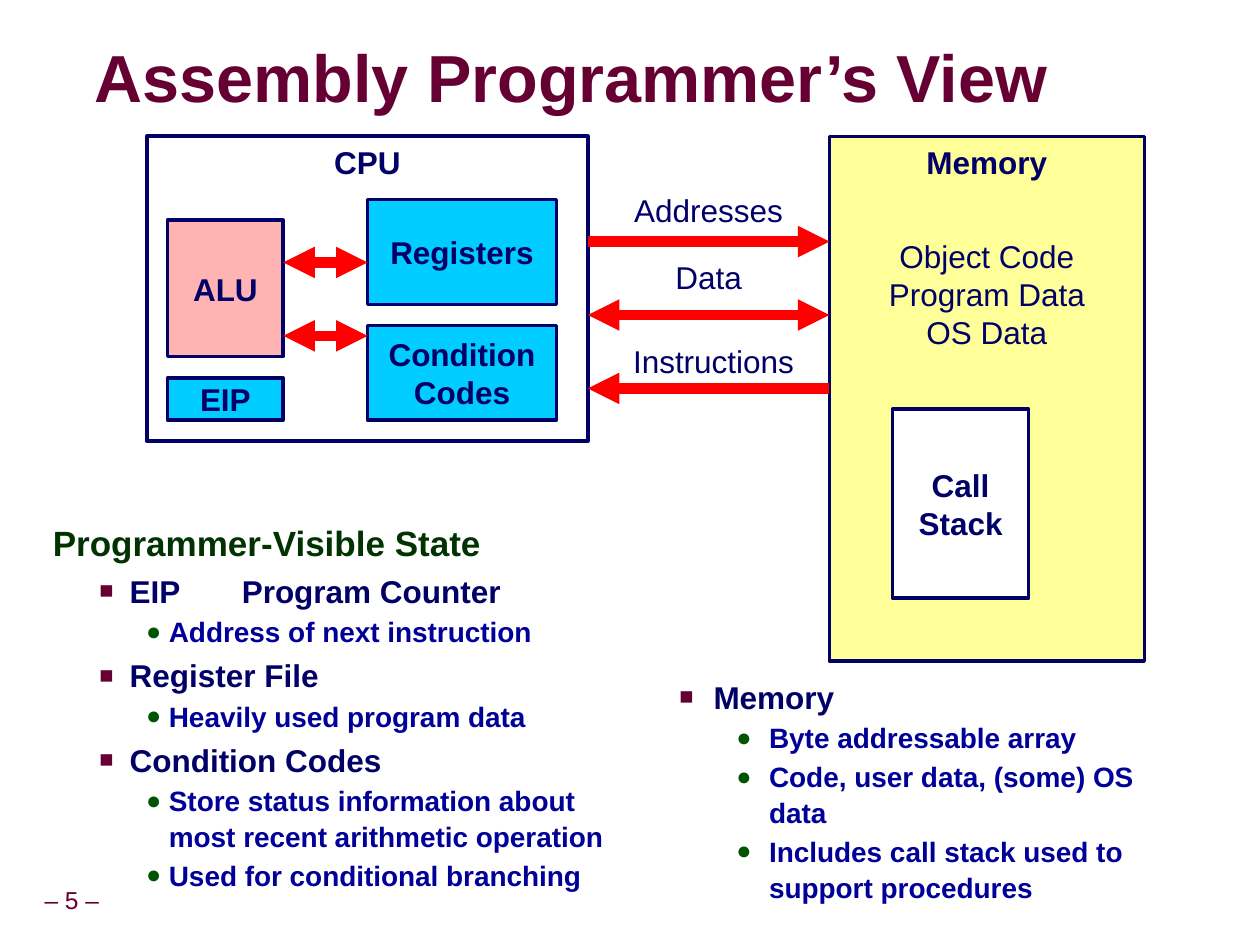
from lxml import etree
from pptx import Presentation, util as u
from pptx.dml.color import RGBColor
from pptx.enum import shapes, text
from pptx.oxml import ns

HUE = {"navy": "000066", "wine": "660033", "pine": "003300", "leaf": "005400",
       "blue": "000099", "cyan": "00CCFF", "pink": "FFB3B3", "cream": "FFFF99",
       "white": "FFFFFF", "red": "FF0000"}
MID, TOP = text.MSO_ANCHOR.MIDDLE, text.MSO_ANCHOR.TOP
MARK = {1: ("■", "wine", 75000, 18, "navy", 25000, 1.0),
        2: ("●", "leaf", 90000, 16, "blue", 10000, 1.07)}


def rgb(name):
    return RGBColor.from_string(HUE[name])


def add(root, tag, **attrs):
    node = etree.SubElement(root, ns.qn("a:" + tag))
    for key, val in attrs.items():
        node.set(key, str(val))
    return node


def place(shape, box):
    shape.left, shape.top, shape.width, shape.height = map(u.Cm, box)


def style(para, size, hue, bold):
    for run in para.runs:
        font = run.font
        font.name, font.size, font.bold = "Arial", u.Pt(size), bold
        font.color.rgb = rgb(hue)


def fill_text(shape, words, bold, anchor, wrap, size=18, hue="navy"):
    frame = shape.text_frame
    frame.text = words
    frame.word_wrap = wrap
    frame.vertical_anchor = anchor
    for para in frame.paragraphs:
        para.alignment = text.PP_ALIGN.CENTER
        style(para, size, hue, bold)


def block(slide, base, box, words, hue, anchor=MID, width=2):
    x, y, w, h = box
    shape = slide.shapes.add_shape(shapes.MSO_SHAPE.RECTANGLE, *map(
        u.Cm, (base[0] + x, base[1] + y, w, h)))
    shape.shadow.inherit = False
    if hue:
        shape.fill.solid()
        shape.fill.fore_color.rgb = rgb(hue)
    else:
        shape.fill.background()
    shape.line.color.rgb = rgb("navy")
    shape.line.width = u.Pt(width)
    fill_text(shape, words, True, anchor, False)


def label(slide, base, box, words):
    x, y, w, h = box
    shape = slide.shapes.add_textbox(*map(u.Cm, (base[0] + x, base[1] + y, w, h)))
    fill_text(shape, words, False, TOP, True)


def arrow(slide, base, x, y, width, ends):
    left, top = base[0] + x, base[1] + y
    line = slide.shapes.add_connector(shapes.MSO_CONNECTOR.STRAIGHT, *map(
        u.Cm, (left, top, left + width, top)))
    line.line.color.rgb = rgb("red")
    line.line.width = u.Pt(6)
    for end in ends:
        add(line.line._get_or_add_ln(), end, type="triangle")
    add(line._element.spPr, "effectLst")


def draw_cpu(slide, box):
    block(slide, box, (0, 0, *box[2:]), "CPU", None, TOP, 2.25)
    for part, words, hue in (
            ((0.42, 1.69, 2.33, 2.75), "ALU", "pink"),
            ((0.42, 4.87, 2.33, 0.85), "EIP", "cyan"),
            ((4.45, 1.27, 3.81, 2.12), "Registers", "cyan"),
            ((4.45, 3.81, 3.81, 1.91), "Condition\nCodes", "cyan")):
        block(slide, box, part, words, hue)
    for y in (2.54, 4.02):
        arrow(slide, box, 2.75, y, 1.7, ("headEnd", "tailEnd"))


def draw_memory(slide, box):
    block(slide, box, (0, 0, *box[2:]), "Memory", "cream", TOP)
    label(slide, box, (0, 1.91, box[2], 2.54), "Object Code\nProgram Data\nOS Data")
    block(slide, box, (1.27, 5.5, 2.75, 3.81), "Call\nStack", "white")


def draw_bus(slide, box):
    width = box[2]
    for row, (words, x, y, ends) in enumerate((
            ("Addresses", 0, 0.98, ("tailEnd",)),
            ("Data", 0, 2.33, ("headEnd", "tailEnd")),
            ("Instructions", 0.2, 4.03, ("headEnd",)))):
        arrow(slide, box, 0, 2.12 + 1.48 * row, width, ends)
        label(slide, box, (x, y, width - x, 1.01), words)


def write_title(shape, box, words):
    place(shape, box)
    frame = shape.text_frame
    frame.text = words
    frame.auto_size = text.MSO_AUTO_SIZE.NONE
    frame.vertical_anchor = MID
    frame.margin_left = frame.margin_right = frame.margin_top = frame.margin_bottom = 0
    para = frame.paragraphs[0]
    para.alignment = text.PP_ALIGN.LEFT
    para.line_spacing = 0.87
    style(para, 38, "wine", True)
    props = para.runs[0].font._element
    effect = etree.Element(ns.qn("a:effectLst"))
    shade = add(effect, "outerShdw", blurRad=38100, dist=38100, dir=2700000, algn="tl")
    add(add(shade, "srgbClr", val="000000"), "alpha", val=43000)
    props.find(ns.qn("a:solidFill")).addnext(effect)


def write_list(shape, box, items, dents, tabs=()):
    place(shape, box)
    frame = shape.text_frame
    frame.text = "\n".join(words for _, words in items)
    frame.auto_size = text.MSO_AUTO_SIZE.NONE
    frame.vertical_anchor = TOP
    for para, (level, _) in zip(frame.paragraphs, items):
        para.level = level
        char, tint, scale, size, hue, gap, space = MARK.get(
            level, (None, None, 0, 20, "pine", 50000, 0.95))
        para.line_spacing = space
        style(para, size, hue, True)
        props = para._p.get_or_add_pPr()
        left, hang = dents.get(level, (0, 0))
        props.set("marL", str(u.Cm(left)))
        props.set("indent", str(u.Cm(-hang)))
        add(add(props, "spcBef"), "spcPct", val=gap)
        if char:
            add(add(props, "buClr"), "srgbClr", val=HUE[tint])
            add(props, "buSzPct", val=scale)
            add(props, "buFont", typeface="Arial")
            add(props, "buChar", char=char)
        else:
            add(props, "buNone")
        if tabs:
            stops = add(props, "tabLst")
            for stop in tabs:
                add(stops, "tab", pos=u.Cm(stop), algn="l")


def write_page(slide, box, words):
    shape = slide.shapes.add_textbox(*map(u.Cm, box))
    fill_text(shape, words, False, MID, False, 14, "wine")
    frame = shape.text_frame
    frame.margin_left = frame.margin_right = u.Cm(0.13)
    frame.paragraphs[0].line_spacing = 0.9


deck = Presentation()
deck.slide_width, deck.slide_height = u.Cm(25.4), u.Cm(19.05)
slide = deck.slides.add_slide(deck.slide_layouts[3])
title, state, store = slide.placeholders
write_title(title, (1.91, 0.84, 20.07, 1.6), "Assembly Programmer’s View")
draw_cpu(slide, (2.96, 2.75, 8.89, 6.14))
draw_memory(slide, (16.72, 2.75, 6.35, 10.58))
draw_bus(slide, (11.85, 2.75, 4.87))
write_list(state, (0.81, 10.44, 12.12, 7.47), (
    (0, "Programmer-Visible State"),
    (1, "EIP\tProgram Counter"),
    (2, "Address of next instruction"),
    (1, "Register File"),
    (2, "Heavily used program data"),
    (1, "Condition Codes"),
    (2, "Store status information about most recent arithmetic operation"),
    (2, "Used for conditional branching")),
    {1: (1.55, 0.61), 2: (2.34, 0.46)}, (3.81, 12.7))
write_list(store, (12.07, 13.54, 11.33, 4.37), (
    (1, "Memory"),
    (2, "Byte addressable array"),
    (2, "Code, user data, (some) OS data"),
    (2, "Includes call stack used to support procedures")),
    {1: (2.06, 0.69), 2: (3.18, 0.66)})
write_page(slide, (0.61, 17.78, 1.68, 0.79), "– 5 –")
deck.save("out.pptx")
